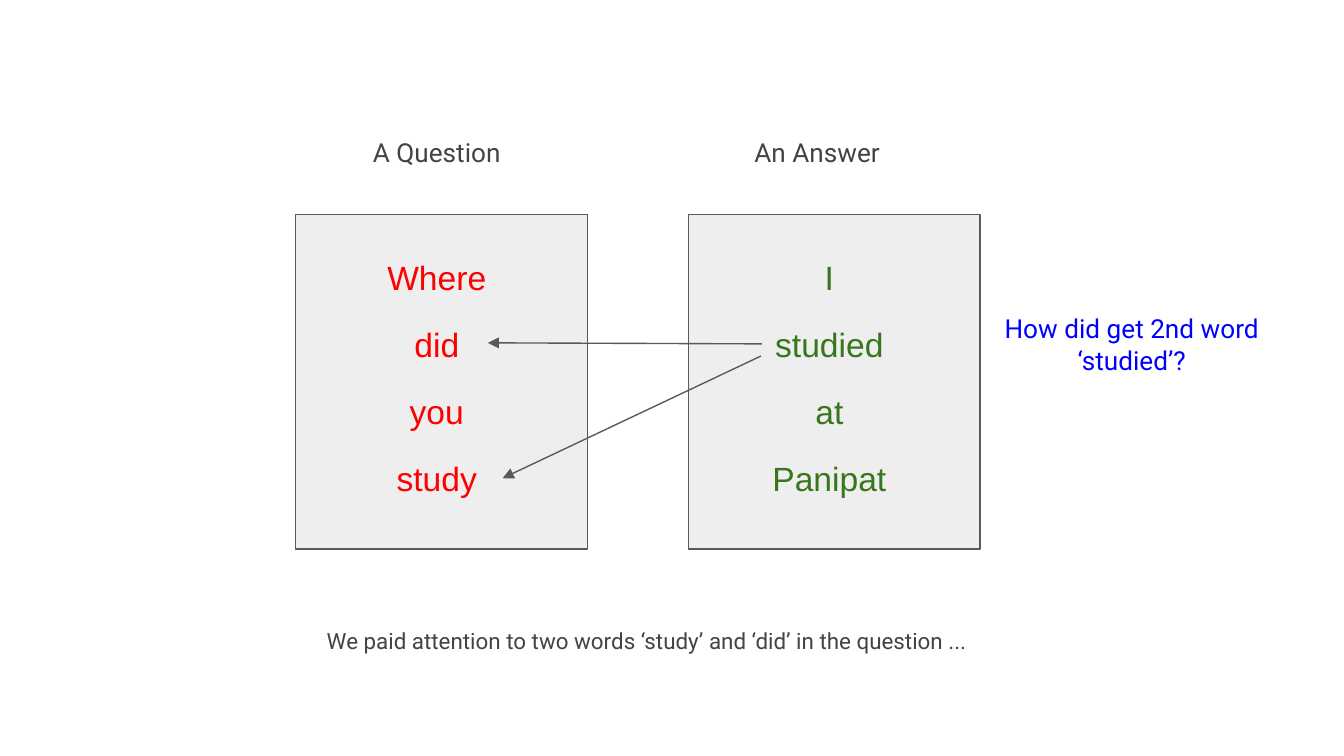
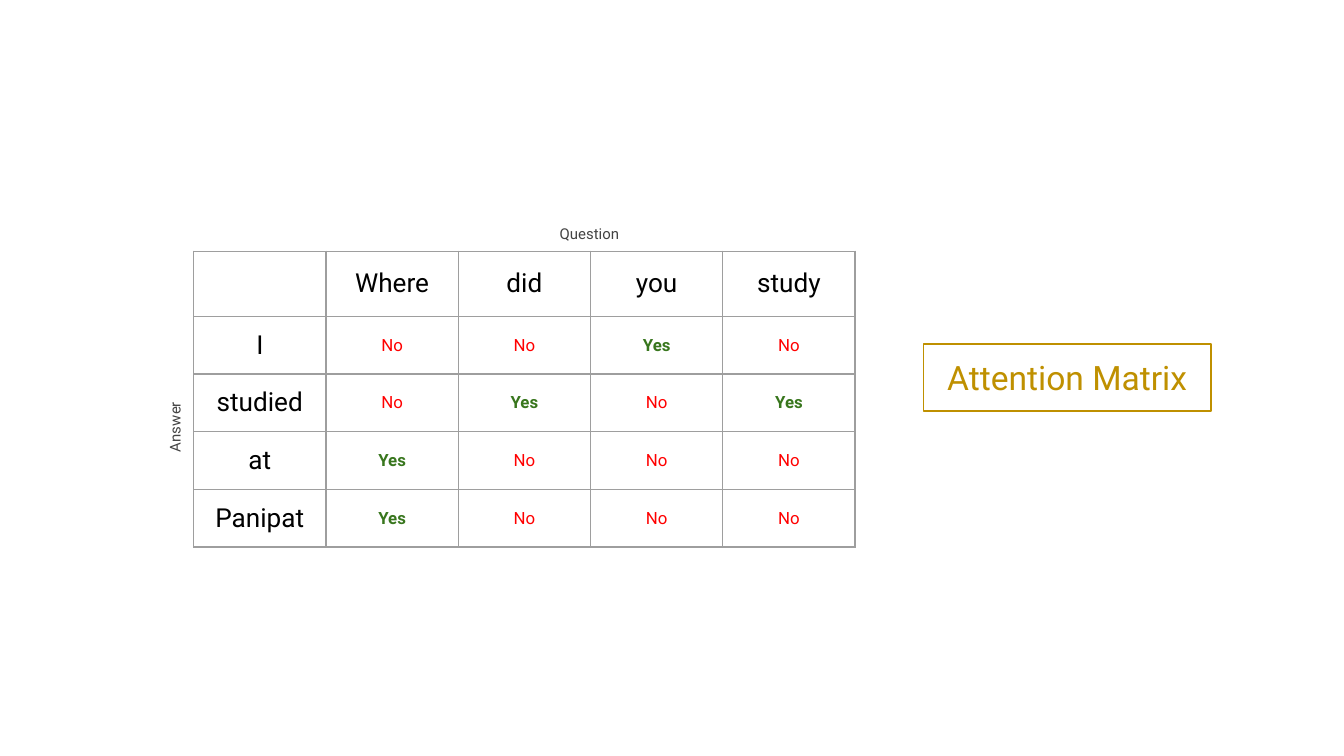
"""Build two slides that show how answer words attend to question words."""
from lxml import etree
from pptx import Presentation
from pptx.dml.color import RGBColor
from pptx.enum.shapes import MSO_CONNECTOR, MSO_SHAPE
from pptx.enum.text import MSO_ANCHOR, PP_ALIGN
from pptx.oxml.ns import qn
from pptx.util import Cm, Pt

CENTER = PP_ALIGN.CENTER
MIDDLE = MSO_ANCHOR.MIDDLE
RECTANGLE = MSO_SHAPE.RECTANGLE
STRAIGHT = MSO_CONNECTOR.STRAIGHT

COLORS = {
    "panel": "EEEEEE", "outline": "595959", "text": "434343", "black": "000000",
    "red": "FF0000", "green": "38761D", "blue": "0000FF", "gold": "BF9000",
    "grid": "9E9E9E",
}
LINE_WIDTH = Pt(0.75)
INSET = Cm(0.25)

FORMATS = {
    "question": {"name": "Arial", "size": Pt(18), "color": "red"},
    "answer": {"name": "Arial", "size": Pt(18), "color": "green"},
    "heading": {"name": "Roboto", "size": Pt(14), "color": "text"},
    "summary": {"name": "Roboto", "size": Pt(12), "color": "text"},
    "prompt": {"name": "Roboto", "size": Pt(14), "color": "blue"},
    "axis": {"name": "Roboto", "size": Pt(8), "color": "text"},
    "badge": {"name": "Roboto", "size": Pt(18), "color": "gold"},
    "word": {"name": "Roboto", "size": Pt(14), "color": "black"},
    "No": {"name": "Roboto", "size": Pt(9), "color": "red"},
    "Yes": {"name": "Roboto", "size": Pt(9), "color": "green", "bold": True},
}

QUESTION = ["Where", "did", "you", "study"]
ANSWER = ["I", "studied", "at", "Panipat"]
ATTENDED = {"I": ["you"], "studied": ["did", "study"], "at": ["Where"], "Panipat": ["Where"]}

PANELS = [
    ("A Question", 6.4, QUESTION, "question"),
    ("An Answer", 13.59, ANSWER, "answer"),
]
PANEL_LEFT, PANEL_TOP, PANEL_WIDTH, PANEL_HEIGHT = 5.59, 4.06, 5.51, 6.32
PANEL_PITCH = 7.42
WORD_OFFSET, WORD_TOP, WORD_WIDTH, WORD_HEIGHT = 0.81, 4.7, 3.71, 1.07
WORD_PITCH = 1.27
HEADING_TOP, LABEL_HEIGHT = 2.51, 0.74
ARROWS = [((14.38, 6.73), (9.5, 9.04)), ((14.4, 6.5), (9.22, 6.48))]
NOTES = [
    ("We paid attention to two words ‘study’ and ‘did’ in the question ... ",
     (2.31, 11.48, 19.94, 1.27), "summary"),
    ("How did get 2nd word ‘studied’?", (18.67, 5.87, 5.44, 1.27), "prompt"),
]

TABLE_LEFT, TABLE_TOP = 3.66, 4.75
COLUMN_WIDTH, HEADER_HEIGHT, ROW_HEIGHT = 2.5, 1.23, 1.09
AXES = [
    ("Question", (6.15, 4.04, 9.98, LABEL_HEIGHT), 0),
    ("Answer", (1.09, 7.7, 4.42, LABEL_HEIGHT), 270),
]
BADGE = ("Attention Matrix", (17.45, 6.5, 5.44, 1.27))


def lengths(values):
    return [Cm(value) for value in values]


def rgb(color):
    return RGBColor.from_string(COLORS[color])


def write(frame, text, style):
    paragraph = frame.paragraphs[0]
    paragraph.alignment = CENTER
    span = paragraph.add_run()
    span.text = text
    for name, value in FORMATS[style].items():
        if name == "color":
            span.font.color.rgb = rgb(value)
        else:
            setattr(span.font, name, value)


def set_margins(target):
    for side in ("left", "right", "top", "bottom"):
        setattr(target, f"margin_{side}", INSET)
    target.vertical_anchor = MIDDLE


def fill_frame(box, text, style):
    frame = box.text_frame
    frame.word_wrap = True
    set_margins(frame)
    write(frame, text, style)


def add_label(page, text, place, style):
    box = page.shapes.add_textbox(*lengths(place))
    fill_frame(box, text, style)
    return box


def add_rectangle(page, place, outline, fill=None):
    box = page.shapes.add_shape(RECTANGLE, *lengths(place))
    box.shadow.inherit = False
    box.line.color.rgb = rgb(outline)
    box.line.width = LINE_WIDTH
    if fill:
        box.fill.solid()
        box.fill.fore_color.rgb = rgb(fill)
    else:
        box.fill.background()
    return box


def add_arrow(page, start, end):
    arrow = page.shapes.add_connector(STRAIGHT, *lengths(start + end))
    arrow.line.color.rgb = rgb("outline")
    arrow.line.width = LINE_WIDTH
    etree.SubElement(arrow.line._get_or_add_ln(), qn("a:tailEnd"), type="triangle")
    etree.SubElement(arrow._element.spPr, qn("a:effectLst"))


def add_borders(cell):
    properties = cell._tc.get_or_add_tcPr()
    for index, side in enumerate(("lnL", "lnR", "lnT", "lnB")):
        border = etree.Element(qn(f"a:{side}"), w=str(LINE_WIDTH))
        solid = etree.SubElement(border, qn("a:solidFill"))
        etree.SubElement(solid, qn("a:srgbClr"), val=COLORS["grid"])
        properties.insert(index, border)


def build_words(page):
    for index in reversed(range(len(PANELS))):
        left = PANEL_LEFT + index * PANEL_PITCH
        add_rectangle(page, (left, PANEL_TOP, PANEL_WIDTH, PANEL_HEIGHT), "outline", "panel")
    for index, (heading, heading_left, words, style) in enumerate(PANELS):
        left = PANEL_LEFT + index * PANEL_PITCH + WORD_OFFSET
        for row, word in enumerate(words):
            top = WORD_TOP + row * WORD_PITCH
            add_label(page, word, (left, top, WORD_WIDTH, WORD_HEIGHT), style)
        add_label(page, heading, (heading_left, HEADING_TOP, WORD_WIDTH, LABEL_HEIGHT), "heading")
    for text, place, style in NOTES:
        add_label(page, text, place, style)
    for start, end in ARROWS:
        add_arrow(page, start, end)


def build_matrix(page):
    rows = [[""] + QUESTION]
    for word in ANSWER:
        rows.append([word] + ["Yes" if asked in ATTENDED[word] else "No" for asked in QUESTION])
    heights = [HEADER_HEIGHT] + [ROW_HEIGHT] * len(ANSWER)
    place = (TABLE_LEFT, TABLE_TOP, COLUMN_WIDTH * len(rows[0]), sum(heights))
    table = page.shapes.add_table(len(rows), len(rows[0]), *lengths(place)).table
    table.first_row = table.horz_banding = False
    for column in table.columns:
        column.width = Cm(COLUMN_WIDTH)
    for row, height in zip(table.rows, heights):
        row.height = Cm(height)
    for row, texts in enumerate(rows):
        for column, text in enumerate(texts):
            cell = table.cell(row, column)
            cell.fill.background()
            add_borders(cell)
            if text:
                set_margins(cell)
                write(cell.text_frame, text, text if text in ("Yes", "No") else "word")
    for text, place, rotation in AXES:
        add_label(page, text, place, "axis").rotation = rotation
    text, place = BADGE
    fill_frame(add_rectangle(page, place, "gold"), text, "badge")


def main():
    deck = Presentation()
    deck.slide_width, deck.slide_height = Cm(25.4), Cm(14.29)
    blank = deck.slide_layouts[6]
    for build in (build_words, build_matrix):
        build(deck.slides.add_slide(blank))
    deck.save("out.pptx")


if __name__ == "__main__":
    main()
